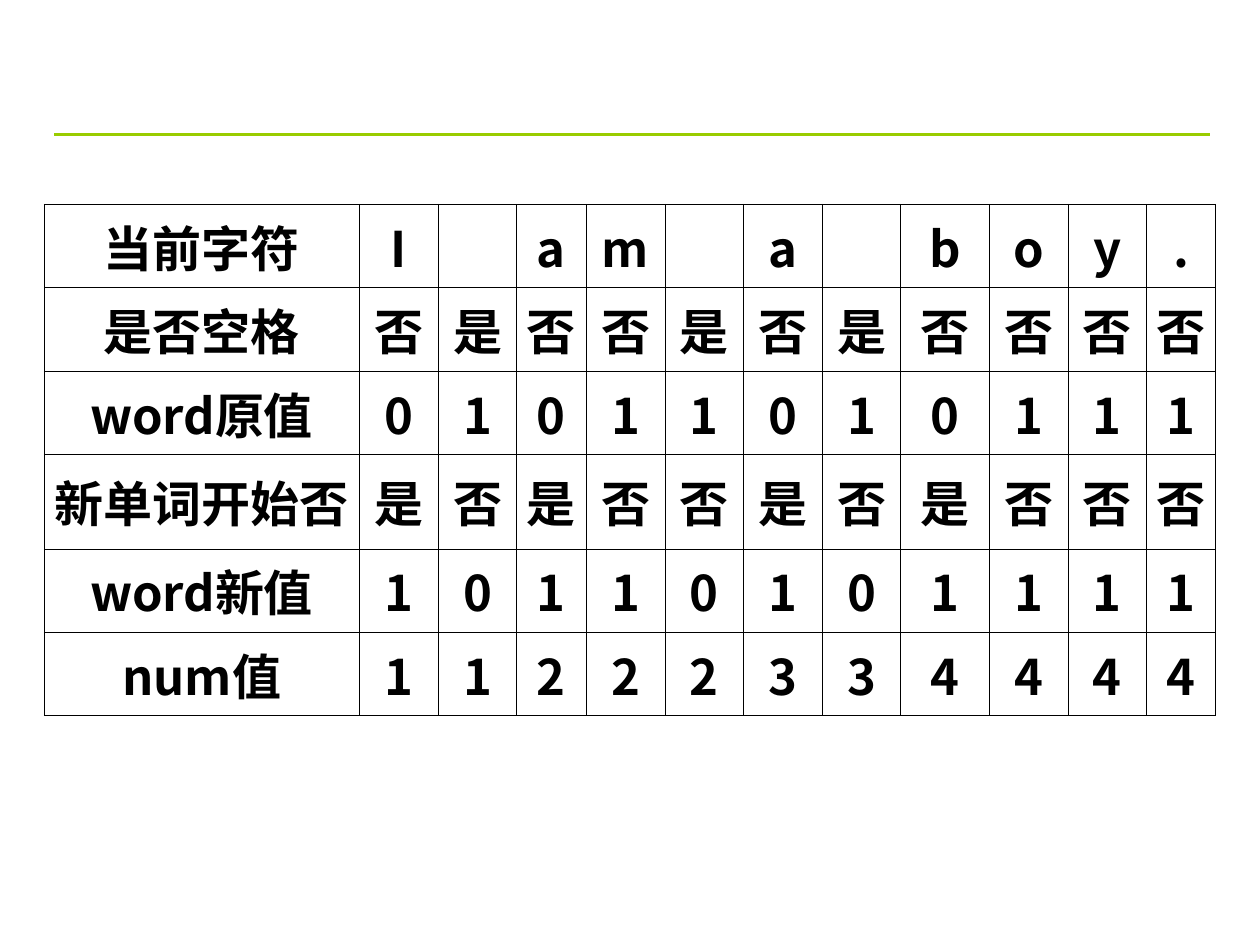
from dataclasses import dataclass

from lxml.etree import SubElement
from pptx import Presentation
from pptx.dml.color import RGBColor
from pptx.enum.shapes import MSO_CONNECTOR
from pptx.enum.text import MSO_ANCHOR, PP_ALIGN
from pptx.oxml.ns import qn
from pptx.util import Inches, Pt


@dataclass(frozen=True)
class Theme:
    ink: str = "000000"
    accent: str = "99CC00"
    font: str = "Noto Sans CJK SC"
    serif: str = "Times New Roman"
    text_size: float = 28
    rule_width: float = 1.5
    border_width: float = 0.45


class SlideBuilder:
    def __init__(self, page, theme):
        self.page = page
        self.theme = theme

    def rule(self, left, right, top):
        line = self.page.shapes.add_connector(
            MSO_CONNECTOR.STRAIGHT,
            Inches(left), Inches(top), Inches(right), Inches(top))
        line.line.color.rgb = RGBColor.from_string(self.theme.accent)
        line.line.width = Pt(self.theme.rule_width)
        SubElement(line._element.spPr, qn("a:effectLst"))

    def table(self, left, top, widths, heights, rows, serif_cells):
        frame = self.page.shapes.add_table(
            len(heights), len(widths), Inches(left), Inches(top),
            Inches(sum(widths)), Inches(sum(heights)))
        table = frame.table
        table.first_row = table.horz_banding = False
        for column, width in zip(table.columns, widths):
            column.width = Inches(width)
        for row, height in zip(table.rows, heights):
            row.height = Inches(height)
        for i, texts in enumerate(rows):
            for j, text in enumerate(texts):
                font = self.theme.serif if (i, j) in serif_cells else self.theme.font
                self.cell(table.cell(i, j), text, font)

    def cell(self, cell, text, font):
        cell.vertical_anchor = MSO_ANCHOR.MIDDLE
        cell.margin_left = cell.margin_right = Inches(0.08)
        cell.margin_top = cell.margin_bottom = Inches(0.05)
        self.borders(cell)
        cell.fill.background()
        para = cell.text_frame.paragraphs[0]
        para.alignment = PP_ALIGN.CENTER
        if text:
            para.text = text
        para.font.name = font
        para.font.size = Pt(self.theme.text_size)
        para.font.bold = True
        para.font.color.rgb = RGBColor.from_string(self.theme.ink)
        # Chinese glyphs share one face, whatever the Latin font
        latin = para.font._element.find(qn("a:latin"))
        east_asian = latin.makeelement(qn("a:ea"), typeface=self.theme.font)
        latin.addnext(east_asian)

    def borders(self, cell):
        properties = cell._tc.get_or_add_tcPr()
        for side in ("lnL", "lnR", "lnT", "lnB"):
            line = SubElement(properties, qn(f"a:{side}"),
                              w=str(int(Pt(self.theme.border_width))))
            fill = SubElement(line, qn("a:solidFill"))
            SubElement(fill, qn("a:srgbClr"), val=self.theme.ink)


def main():
    deck = Presentation()
    deck.slide_width, deck.slide_height = Inches(10), Inches(7.5)
    page = deck.slides.add_slide(deck.slide_layouts[6])
    builder = SlideBuilder(page, Theme())

    # Title rule
    builder.rule(0.43, 9.6, 1.07)

    # Trace of the word counter: a label, then one value per character
    trace = [
        ("当前字符", "I am a boy."),
        ("是否空格", "否是否否是否是否否否否"),
        ("word原值", "01011010111"),
        ("新单词开始否", "是否是否否是否是否否否"),
        ("word新值", "10110101111"),
        ("num值", "11222334444"),
    ]
    rows = [[label, *values.replace(" ", "\0").replace("\0", " ")]
            for label, values in trace]
    rows = [[text.strip() for text in row] for row in rows]
    widths = [2.5, 0.63, 0.62, 0.55, 0.63, 0.62, 0.63, 0.62, 0.7, 0.63, 0.62, 0.55]
    heights = [0.66, 0.66, 0.66, 0.75, 0.66, 0.66]
    serif_cells = {(3, column) for column in (4, 5, 9, 10, 11)}
    builder.table(0.35, 1.62, widths, heights, rows, serif_cells)

    deck.save("out.pptx")


if __name__ == "__main__":
    main()
